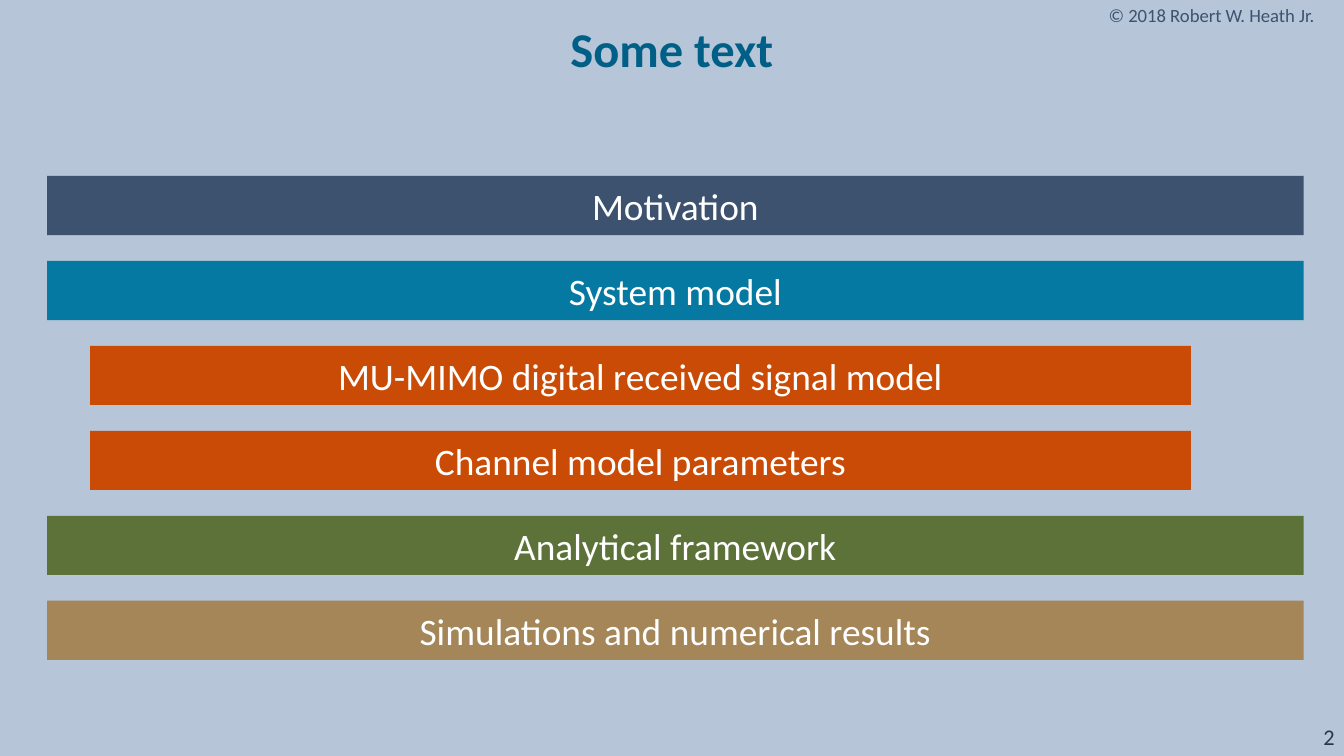
import pptx
import pptx.dml.color
import pptx.enum.shapes
import pptx.enum.text
import pptx.util

Inches = pptx.util.Inches
ALIGN = pptx.enum.text.PP_ALIGN
ANCHOR = pptx.enum.text.MSO_ANCHOR

SECTIONS = [
    ("Motivation", "3C526F", False),
    ("System model", "0679A3", False),
    ("MU-MIMO digital received signal model", "CA4B05", True),
    ("Channel model parameters", "CA4B05", True),
    ("Analytical framework", "5D7238", False),
    ("Simulations and numerical results", "A48658", False),
]


def rgb(value):
    """Return the colour for a hex string."""
    return pptx.dml.color.RGBColor.from_string(value)


def write(sp, text, size, color, align, anchor=ANCHOR.MIDDLE, bold=False):
    """Put one formatted line of text into a shape."""
    tf = sp.text_frame
    tf.text = text
    tf.word_wrap = True
    tf.vertical_anchor = anchor
    p = tf.paragraphs[0]
    p.alignment = align
    font = p.runs[0].font
    font.name = "Calibri"
    font.size = pptx.util.Pt(size)
    font.bold = bold
    font.color.rgb = rgb(color)


def add_label(s, box, *args, **kwargs):
    """Add a text box that fills the given box."""
    sp = s.shapes.add_textbox(*map(Inches, box))
    write(sp, *args, **kwargs)


def add_outline(s, box, sections, bar_height=0.44):
    """Stack evenly spaced section bars in the box, with subsections inset."""
    left, top, width, height = box
    pitch = (height - bar_height) / (len(sections) - 1)
    for i, (text, color, is_sub) in enumerate(sections):
        x, w = (left + 0.32, width - 1.16) if is_sub else (left, width)
        sp = s.shapes.add_shape(
            pptx.enum.shapes.MSO_SHAPE.RECTANGLE,
            Inches(x), Inches(top + i * pitch), Inches(w), Inches(bar_height))
        sp.shadow.inherit = False
        sp.fill.solid()
        sp.fill.fore_color.rgb = rgb(color)
        sp.line.fill.background()
        write(sp, text, 20, "FFFFFF", ALIGN.CENTER)


def main():
    """Build the outline slide and save it."""
    prs = pptx.Presentation()
    prs.slide_width, prs.slide_height = Inches(10), Inches(10 * 9 / 16)
    s = prs.slides.add_slide(prs.slide_layouts[6])
    s.background.fill.solid()
    s.background.fill.fore_color.rgb = rgb("B6C5D7")
    add_label(s, (8.15, -0.02, 1.85, 0.28), "© 2018 Robert W. Heath Jr.",
              10, "3C536F", ALIGN.LEFT, anchor=ANCHOR.TOP)
    add_label(s, (0.5, -0.02, 9, 0.76), "Some text",
              26, "005F86", ALIGN.CENTER, bold=True)
    add_label(s, (7.78, 5.33, 2.25, 0.3), "2", 12, "28374A", ALIGN.RIGHT)
    add_outline(s, (0.35, 1.31, 9.35, 3.6), SECTIONS)
    prs.save("out.pptx")


if __name__ == "__main__":
    main()
